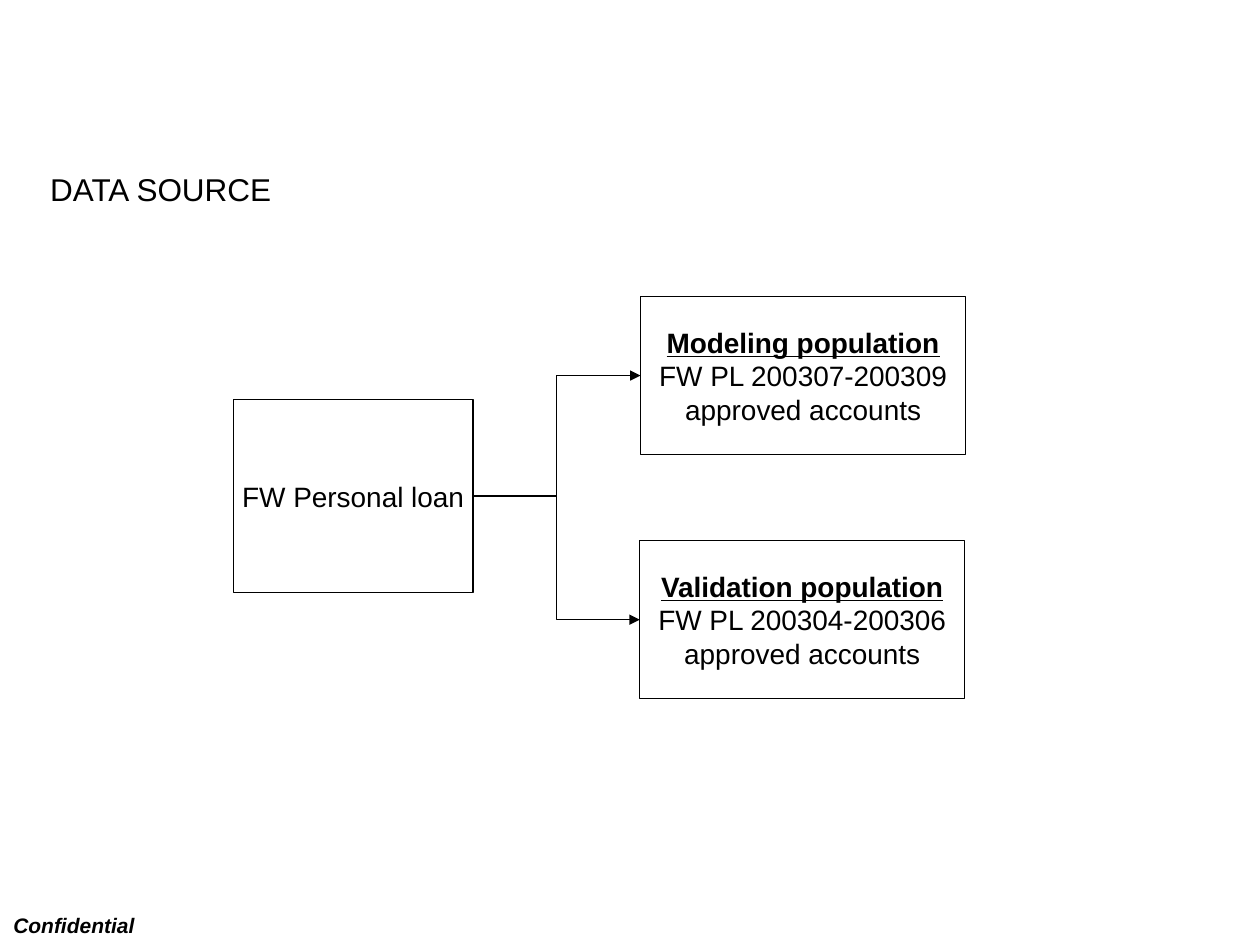
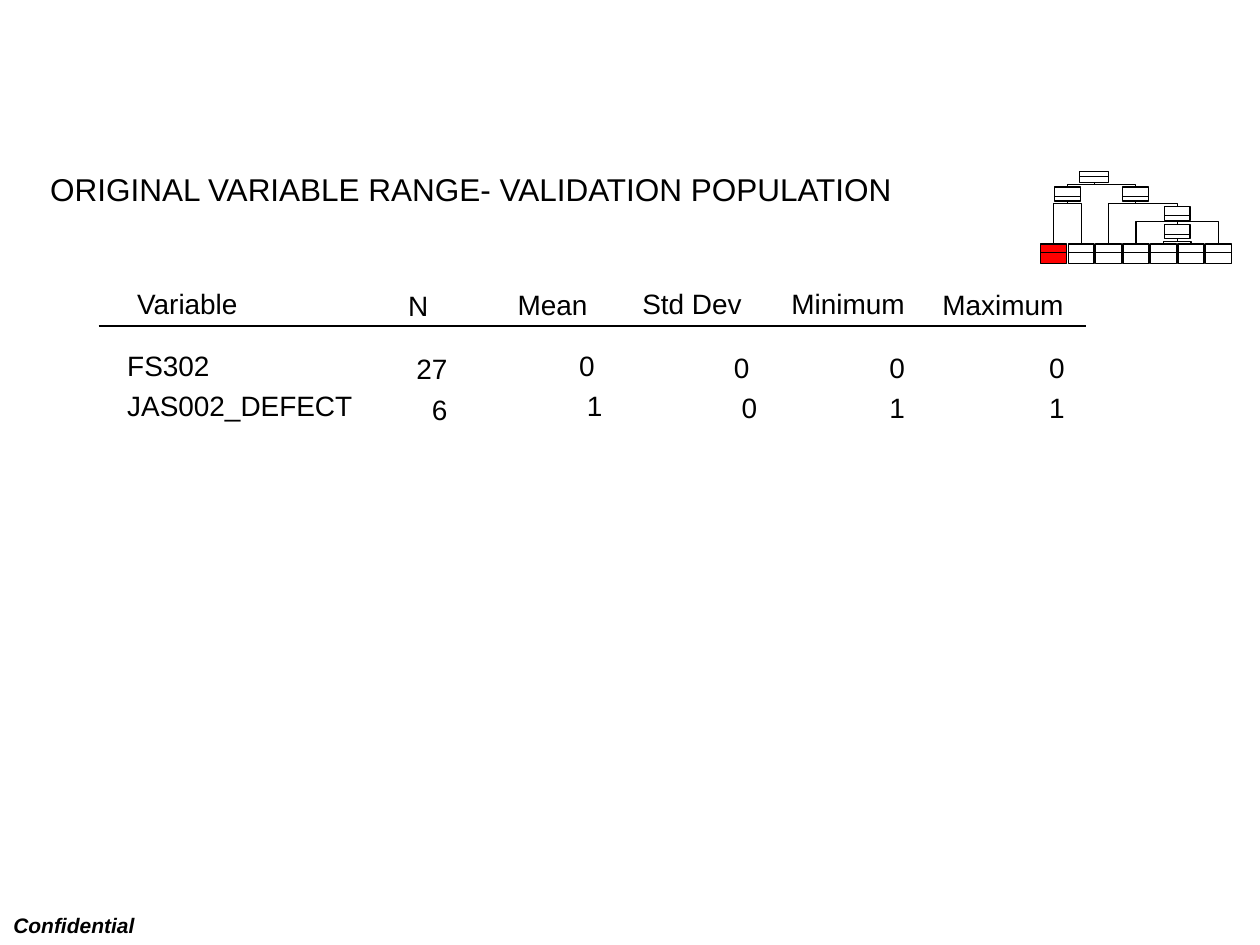
from lxml.etree import SubElement
from pptx import Presentation
from pptx.dml.color import RGBColor
from pptx.enum.shapes import MSO_CONNECTOR, MSO_SHAPE
from pptx.enum.text import MSO_ANCHOR, MSO_AUTO_SIZE, PP_ALIGN
from pptx.oxml.ns import qn
from pptx.util import Pt

COLOURS = {"ink": "000000", "highlight": "FF0000"}
INK = RGBColor.from_string(COLOURS["ink"])
FONT = "Arial"
PLAIN_TABLE_STYLE = "{2D5ABB26-0587-4C30-8999-92F81FD0307C}"


def write(frame, lines, size, align=PP_ALIGN.LEFT):
    """Fill a text frame with one paragraph per line."""
    for number, line in enumerate(lines):
        para = frame.paragraphs[0] if number == 0 else frame.add_paragraph()
        para.text = line
        para.alignment = align
        para.font.name = FONT
        para.font.size = Pt(size)
        para.font.color.rgb = INK
    return frame.paragraphs


def draw_line(shapes, kind, x1, y1, x2, y2):
    """Draw a thin connector without a shadow."""
    line = shapes.add_connector(kind, Pt(x1), Pt(y1), Pt(x2), Pt(y2))
    line.line.color.rgb = INK
    line.line.width = Pt(0.75)
    SubElement(line._element.spPr, qn("a:effectLst"))
    return line


deck = Presentation()
deck.slide_width, deck.slide_height = Pt(720), Pt(540)

# Shared title and footer
pages = []
for title, width in [
    ("DATA SOURCE", 655),
    ("ORIGINAL VARIABLE RANGE- VALIDATION POPULATION", 678),
]:
    page = deck.slides.add_slide(deck.slide_layouts[6])
    pages.append(page)

    footer = page.shapes.add_textbox(Pt(0.5), Pt(518), Pt(87), Pt(21.8))
    footer.text_frame.word_wrap = False
    footer.text_frame.auto_size = MSO_AUTO_SIZE.SHAPE_TO_FIT_TEXT
    para = write(footer.text_frame, ["Confidential"], 12)[0]
    para.font.bold = para.font.italic = True
    para.space_before = Pt(7.5)

    box = page.shapes.add_textbox(Pt(21.6), Pt(93.6), Pt(width), Pt(29))
    box.text_frame.word_wrap = True
    box.text_frame.auto_size = MSO_AUTO_SIZE.SHAPE_TO_FIT_TEXT
    write(box.text_frame, [title], 18)[0].space_before = Pt(11.2)

source_page, range_page = pages

# Data source boxes
boxes = []
for left, top, width, height, lines in [
    (133.4, 228.4, 136.9, 110.2, ["FW Personal loan"]),
    (366, 169.4, 185.8, 90.4,
     ["Modeling population", "FW PL 200307-200309 approved accounts"]),
    (365.6, 309, 185.6, 90.2,
     ["Validation population", "FW PL 200304-200306 approved accounts"]),
]:
    box = source_page.shapes.add_shape(
        MSO_SHAPE.RECTANGLE, Pt(left), Pt(top), Pt(width), Pt(height))
    box.shadow.inherit = False
    box.fill.background()
    box.line.color.rgb = INK
    box.line.width = Pt(0.75)
    frame = box.text_frame
    frame.word_wrap = len(lines) > 1
    frame.vertical_anchor = MSO_ANCHOR.MIDDLE
    paras = write(frame, lines, 16, PP_ALIGN.CENTER)
    if len(lines) > 1:
        paras[0].font.bold = paras[0].font.underline = True
    boxes.append(box)

# Arrows from the loan box to each population
loan, *populations = boxes
for population in populations:
    arrow = draw_line(
        source_page.shapes, MSO_CONNECTOR.ELBOW,
        loan.left.pt + loan.width.pt, loan.top.pt + loan.height.pt / 2,
        population.left.pt, population.top.pt + population.height.pt / 2)
    arrow.begin_connect(loan, 3)
    arrow.end_connect(population, 1)
    SubElement(arrow.line._get_or_add_ln(), qn("a:tailEnd"), type="triangle")

# Column headings and the rule below them
for heading, left, top, width in [
    ("Variable", 71.3, 160.2, 73), ("N", 226.1, 161.3, 26.5),
    ("Mean", 288.7, 160.6, 57), ("Std Dev", 360, 160.2, 73),
    ("Minimum", 445.2, 160.2, 81), ("Maximum", 531.4, 160.6, 85),
]:
    box = range_page.shapes.add_textbox(Pt(left), Pt(top), Pt(width), Pt(26.6))
    box.text_frame.word_wrap = False
    box.text_frame.auto_size = MSO_AUTO_SIZE.SHAPE_TO_FIT_TEXT
    write(box.text_frame, [heading], 16)
draw_line(range_page.shapes, MSO_CONNECTOR.STRAIGHT, 56.4, 186.3, 620.6, 186.3)

# One single-cell table for each column of values
for left, top, width, values in [
    (65.5, 187.9, 198.7, ["FS302", "JAS002_DEFECT"]),
    (189.4, 189.8, 73.4, ["27", "6"]),
    (247.7, 187.9, 103.7, ["0 ", "1"]),
    (344.9, 189, 95, ["0 ", "0"]),
    (436.3, 188.9, 88, ["0", "1"]),
    (524.2, 189, 91.4, ["0", "1"]),
]:
    table = range_page.shapes.add_table(
        1, 1, Pt(left), Pt(top), Pt(width), Pt(57.3)).table
    table.first_row = table.horz_banding = False
    table._tbl.tblPr.find(qn("a:tableStyleId")).text = PLAIN_TABLE_STYLE
    cell = table.cell(0, 0)
    cell.fill.background()
    cell.vertical_anchor = MSO_ANCHOR.BOTTOM
    align = PP_ALIGN.LEFT if values[0] == "FS302" else PP_ALIGN.RIGHT
    for para in write(cell.text_frame, values, 16, align):
        para.line_spacing = 1.3

# Small decision tree: left, top, width, height, divider offset
nodes = {
    "root": (617, 97.9, 16.6, 6.5, 2.9),
    "left": (602.6, 106.9, 14.8, 8, 5.4),
    "right": (641.5, 106.9, 14.8, 8, 5.4),
    "upper": (665.3, 118, 14.8, 8, 5.2),
    "lower": (665.3, 128.5, 14.8, 8, 5.4),
}
for number in range(7):
    nodes[number] = (594.7 + 15.7 * number, 139.5, 14.8, 10.9, 5)

tree = range_page.shapes.add_group_shape()
for name, (left, top, width, height, divider) in nodes.items():
    node = tree.shapes.add_shape(
        MSO_SHAPE.RECTANGLE, Pt(left), Pt(top), Pt(width), Pt(height))
    node.shadow.inherit = False
    node.line.color.rgb = INK
    node.line.width = Pt(0.75)
    if name == 0:
        node.fill.solid()
        node.fill.fore_color.rgb = RGBColor.from_string(COLOURS["highlight"])
    else:
        node.fill.background()
    draw_line(tree.shapes, MSO_CONNECTOR.STRAIGHT,
              left, top + divider, left + width, top + divider)

# Branches leave downwards, so each elbow is turned by a quarter
for parent, child in [
    ("root", "left"), ("root", "right"), ("left", 0), ("left", 1),
    ("right", 2), ("right", "upper"), ("upper", 3), ("upper", "lower"),
    ("upper", 6), ("lower", 4), ("lower", 5),
]:
    left, top, width, height, _ = nodes[parent]
    x1, y1 = left + width / 2, top + height
    left, y2, width, _, _ = nodes[child]
    x2 = left + width / 2
    middle_x, middle_y = (x1 + x2) / 2, (y1 + y2) / 2
    drop, reach = y2 - y1, abs(x2 - x1)
    branch = draw_line(
        tree.shapes, MSO_CONNECTOR.ELBOW,
        middle_x - drop / 2, middle_y - reach / 2,
        middle_x + drop / 2, middle_y + reach / 2)
    frame = branch._element.spPr.find(qn("a:xfrm"))
    frame.set("rot", "16200000" if x2 > x1 else "5400000")
    if x2 > x1:
        frame.set("flipH", "1")
    guides = branch._element.spPr.find(qn("a:prstGeom")).find(qn("a:avLst"))
    fall = 0.8 if parent == "upper" else 1.4
    bend = round(100000 * min(0.5, fall / drop))
    SubElement(guides, qn("a:gd"), name="adj1", fmla=f"val {bend}")

deck.save("out.pptx")
